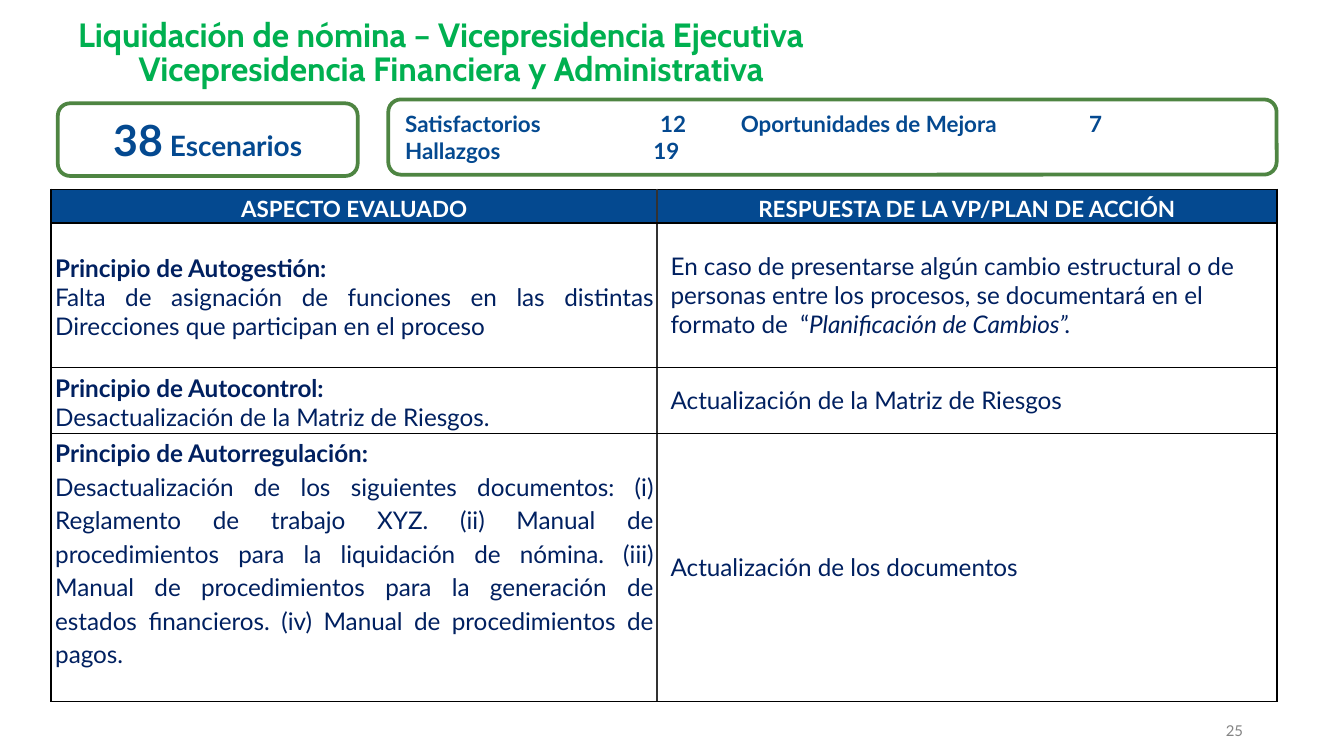
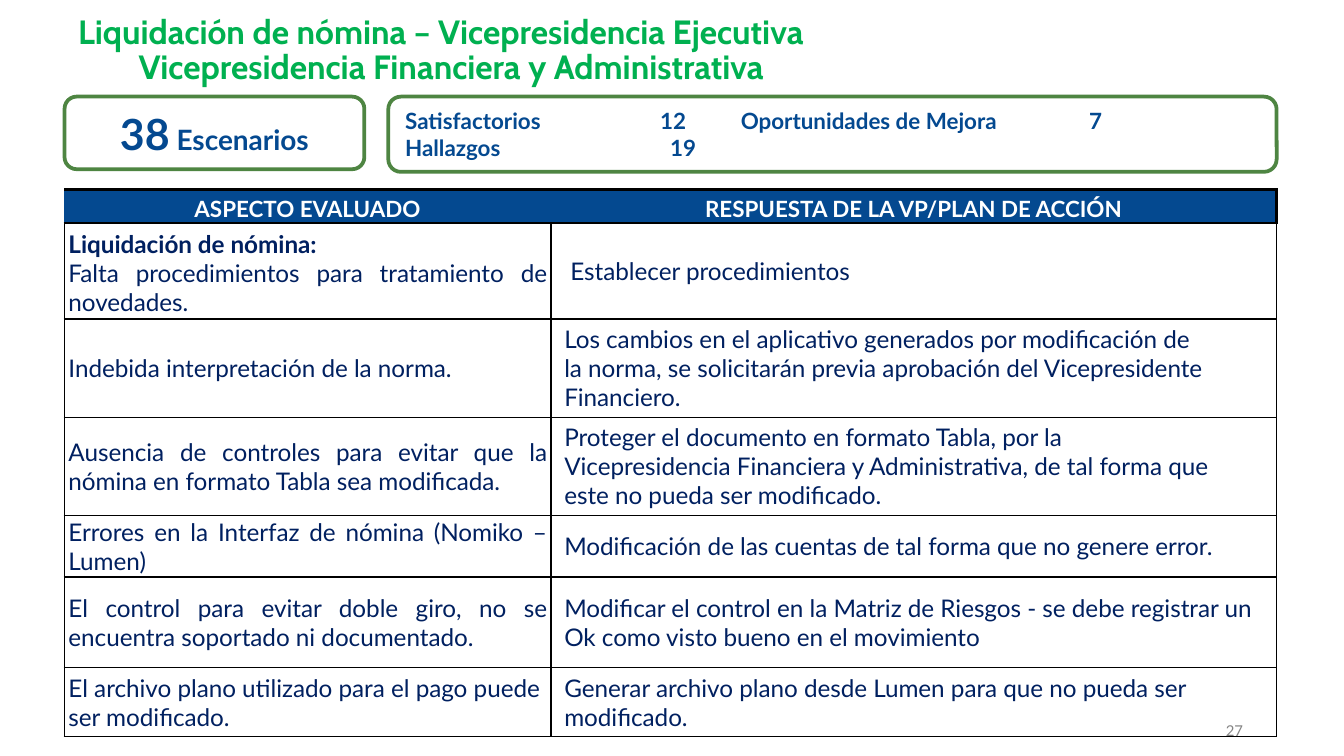
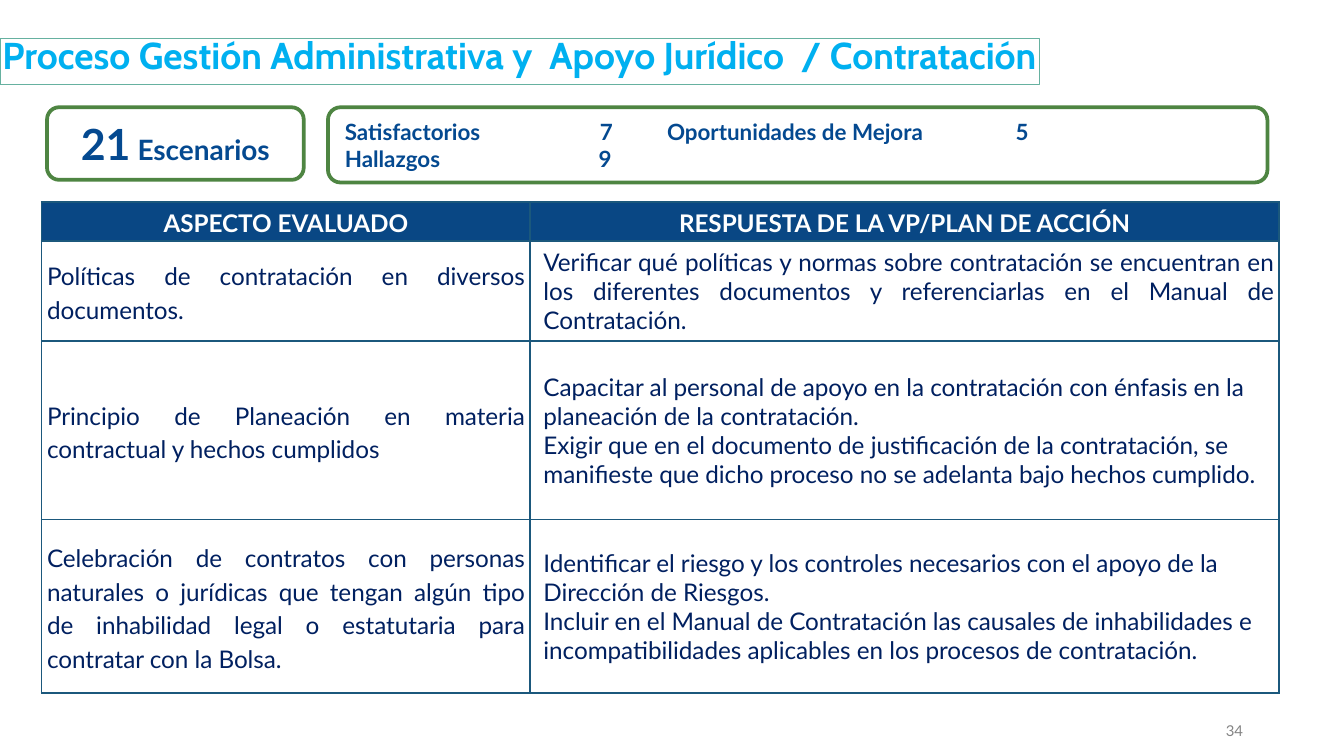
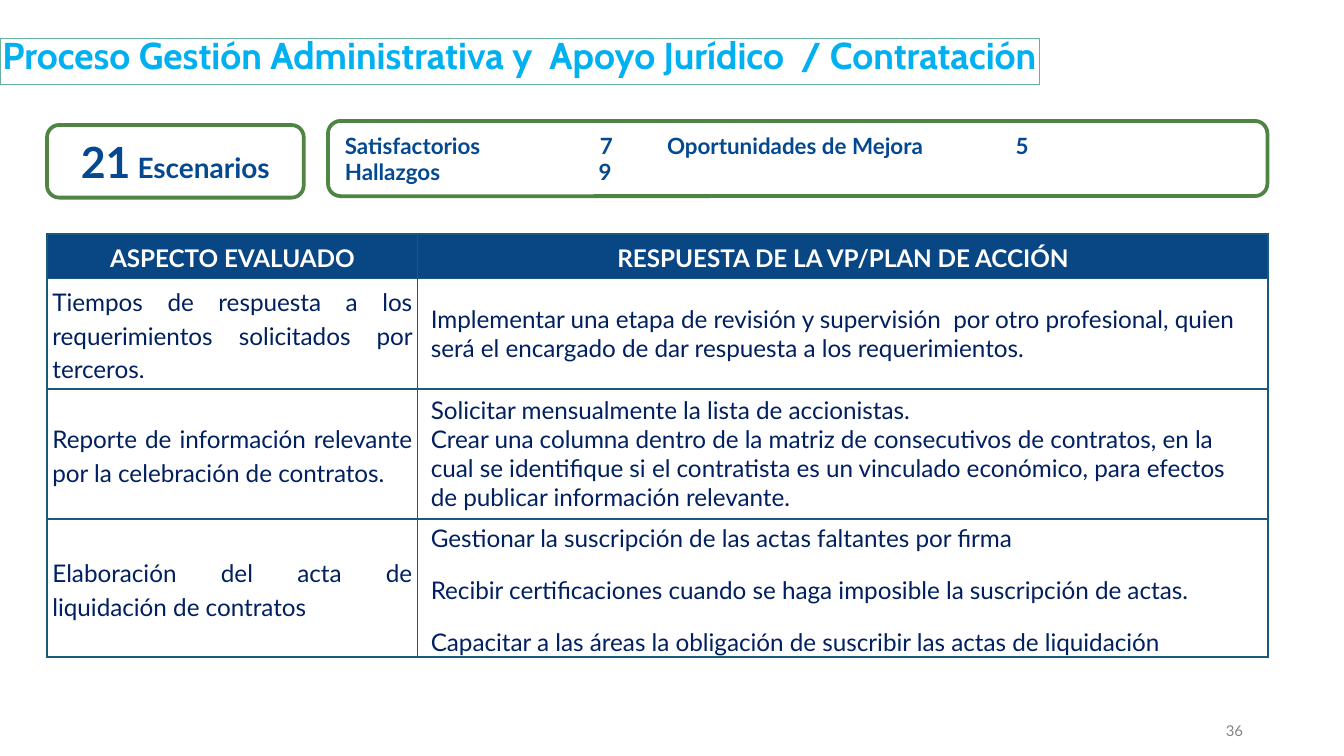
from dataclasses import dataclass

from lxml import etree
from pptx import Presentation
from pptx.dml.color import RGBColor
from pptx.enum.shapes import MSO_SHAPE
from pptx.enum.text import MSO_ANCHOR, PP_ALIGN
from pptx.oxml.ns import qn
from pptx.util import Pt

LEFT, CENTER, RIGHT, JUSTIFY = (
    PP_ALIGN.LEFT, PP_ALIGN.CENTER, PP_ALIGN.RIGHT, PP_ALIGN.JUSTIFY)
TOP, MIDDLE, BOTTOM = MSO_ANCHOR.TOP, MSO_ANCHOR.MIDDLE, MSO_ANCHOR.BOTTOM
RECTANGLE, ROUNDED = MSO_SHAPE.RECTANGLE, MSO_SHAPE.ROUNDED_RECTANGLE

BODY_FONT, TITLE_FONT = "Lato", "Cabin"
WHITE, BLACK, CHARCOAL = "FFFFFF", "000000", "323232"
BLUE, HEADER_BLUE, NAVY, GRID_BLUE = "044990", "094784", "002060", "1B587C"
GREEN, SKY, BOX_GREEN, TEAL, GREY = (
    "00B050", "00B0F0", "4E8542", "66B1A0", "848484")
HEADINGS = "ASPECTO EVALUADO", "RESPUESTA DE LA VP/PLAN DE ACCIÓN"
TIGHT, SNUG = (2.2, 0.7), (2.9, 1.4)


@dataclass
class CellText:
    """Paragraphs of a table cell; margins are left, top, right, bottom."""
    lines: tuple
    margins: tuple
    heading: str = ""
    align: PP_ALIGN = LEFT
    spacing: float = 1
    after: float = 0
    anchor: MSO_ANCHOR = MIDDLE


def finding(text, heading="", spacing=1, align=JUSTIFY, anchor=MIDDLE):
    return CellText((text,), TIGHT * 2, heading, align, spacing, anchor=anchor)


def topic(text):
    return CellText((text,), SNUG * 2, align=JUSTIFY, spacing=1.15)


def action(*lines, margins=(7.2, 2.9, 7.2, 2.9), **options):
    return CellText(lines, margins, **options)


def rgb(colour):
    return RGBColor.from_string(colour)


def style(paragraph, size, colour, font=BODY_FONT, bold=False, align=LEFT,
          spacing=1.0, after=0):
    paragraph.alignment = align
    paragraph.line_spacing = spacing
    paragraph.space_after = Pt(after)
    for run in paragraph.runs:
        run.font.size = Pt(size)
        run.font.name = font
        run.font.bold = bold
        run.font.color.rgb = rgb(colour)


def set_margins(holder, left, top, right, bottom):
    holder.margin_left, holder.margin_right = Pt(left), Pt(right)
    holder.margin_top, holder.margin_bottom = Pt(top), Pt(bottom)


def set_tabs(paragraph, stops):
    tabs = etree.SubElement(paragraph._p.get_or_add_pPr(), qn("a:tabLst"))
    for stop in stops:
        etree.SubElement(tabs, qn("a:tab"), pos=str(Pt(stop)), algn="l")


def add_text(slide, box, text, anchor=TOP):
    frame = slide.shapes.add_textbox(*map(Pt, box)).text_frame
    frame.word_wrap = True
    frame.vertical_anchor = anchor
    set_margins(frame, 0, 0, 0, 0)
    frame.text = text
    return frame


def add_page_number(slide, number):
    frame = add_text(slide, (643, 386.6, 23, 9.6), number, BOTTOM)
    style(frame.paragraphs[0], 8, GREY, align=RIGHT)


def add_payroll_title(slide, top):
    frame = add_text(slide, (41.8, top, 533.5, 34.6),
                     "Liquidación de nómina – Vicepresidencia Ejecutiva\n"
                     "Vicepresidencia Financiera y Administrativa")
    for paragraph in frame.paragraphs:
        style(paragraph, 18, GREEN, TITLE_FONT, True, spacing=0.85)
    frame.paragraphs[1]._p.get_or_add_pPr().set("marL", str(Pt(32.4)))


def add_outlined(slide, kind, box, line, width):
    shape = slide.shapes.add_shape(kind, *map(Pt, box))
    shape.shadow.inherit = False
    shape.line.color.rgb = rgb(line)
    shape.line.width = Pt(width)
    shape.text_frame.word_wrap = True
    return shape


def add_contract_title(slide):
    title = add_outlined(slide, RECTANGLE, (0, 20.8, 556.8, 24.6), TEAL, 0.75)
    title.fill.background()
    frame = title.text_frame
    frame.vertical_anchor = TOP
    set_margins(frame, 0, 0, 0, 0)
    frame.text = ("Proceso Gestión Administrativa y  Apoyo Jurídico"
                  "  / Contratación")
    style(frame.paragraphs[0], 20, SKY, TITLE_FONT, True, CENTER, 0.85)


def add_result_box(slide, box):
    shape = add_outlined(slide, ROUNDED, box, BOX_GREEN, 2)
    shape.fill.solid()
    shape.fill.fore_color.rgb = rgb(WHITE)
    shape.text_frame.vertical_anchor = MIDDLE
    return shape.text_frame


def add_scenarios(slide, box, total):
    paragraph = add_result_box(slide, box).paragraphs[0]
    paragraph.add_run().text = total
    paragraph.add_run().text = " Escenarios"
    style(paragraph, 15, BLUE, bold=True, align=CENTER)
    paragraph.runs[0].font.size = Pt(23)


def add_results(slide, box, counts, first_stops, second_stop):
    """Show satisfactory, improvement and finding counts on tab stops."""
    satisfactory, improvements, findings = counts
    frame = add_result_box(slide, box)
    frame.text = (f"Satisfactorios\t{satisfactory}\tOportunidades de Mejora"
                  f"\t{improvements}\nHallazgos\t{findings}")
    for paragraph, stops in zip(frame.paragraphs, (first_stops, [second_stop])):
        style(paragraph, 12, BLUE, bold=True)
        set_tabs(paragraph, stops)


def set_borders(cell, borders):
    """Draw (colour, width) for left, right, top, bottom; None hides a side."""
    properties = cell._tc.get_or_add_tcPr()
    for side, border in zip("LRTB", borders):
        colour, width = border or (None, 0)
        line = etree.SubElement(properties, qn(f"a:ln{side}"),
                                w=str(Pt(width)))
        if border:
            fill = etree.SubElement(line, qn("a:solidFill"))
            etree.SubElement(fill, qn("a:srgbClr"), val=colour)
        else:
            etree.SubElement(line, qn("a:noFill"))


def fill_header(cell, heading, size, colour, margins):
    cell.fill.solid()
    cell.fill.fore_color.rgb = rgb(colour)
    cell.vertical_anchor = MIDDLE
    set_margins(cell, *margins)
    cell.text = heading
    style(cell.text_frame.paragraphs[0], size, WHITE, bold=True, align=CENTER,
          spacing=1.15)


def fill_body(cell, content):
    """Write a body cell; an asterisk in a line starts its italic part."""
    cell.fill.background()
    cell.vertical_anchor = content.anchor
    set_margins(cell, *content.margins)
    frame = cell.text_frame
    paragraph = frame.paragraphs[0]
    if content.heading:
        paragraph.text = content.heading
        style(paragraph, 13, NAVY, bold=True, spacing=1.15)
        paragraph = frame.add_paragraph()
    for index, line in enumerate(content.lines):
        if index:
            paragraph = frame.add_paragraph()
        for part, text in enumerate(line.split("*")):
            run = paragraph.add_run()
            run.text = text
            run.font.italic = part > 0
        style(paragraph, 13, NAVY, align=content.align,
              spacing=content.spacing, after=content.after)


def add_findings_table(slide, origin, widths, heights, rows, header,
                       grid, middle=None, header_borders=None):
    """header is size, colour and margins; header_borders holds one per cell."""
    left, top = map(Pt, origin)
    table = slide.shapes.add_table(
        len(heights), len(widths), left, top,
        Pt(sum(widths)), Pt(sum(heights))).table
    table.first_row = table.horz_banding = False
    for column, width in zip(table.columns, widths):
        column.width = Pt(width)
    for row, height in zip(table.rows, heights):
        row.height = Pt(height)
    edge, inner = (grid, 1), (middle or grid, 1)
    usual = (edge, inner, edge, edge), (inner, edge, edge, edge)
    for column, heading in enumerate(HEADINGS):
        cell = table.cell(0, column)
        set_borders(cell, (header_borders or usual)[column])
        fill_header(cell, heading, *header)
    for number, contents in enumerate(rows, 1):
        for column, content in enumerate(contents):
            cell = table.cell(number, column)
            set_borders(cell, usual[column])
            fill_body(cell, content)


def payroll_slide(slide, page, title_top, scenarios_at, results_top,
                  findings_stop):
    add_page_number(slide, page)
    add_payroll_title(slide, title_top)
    add_scenarios(slide, (*scenarios_at, 160.6, 38.9), "38")
    add_results(slide, (208, results_top, 475.9, 40.3), (12, 7, 19),
                (136.6, 179.8, 366.4), findings_stop)


def contract_slide(slide, page, scenarios_top, results_top):
    add_page_number(slide, page)
    add_scenarios(slide, (25.2, scenarios_top, 137.5, 38.9), "21")
    add_results(slide, (175.7, results_top, 503.3, 40.3), (7, 5, 9),
                (136.6, 172.6, 359.4), 136)
    add_contract_title(slide)


def add_principles(slide):
    payroll_slide(slide, "25", 10.8, (31, 55.4), 53.3, 133)
    rows = [
        (finding("Falta de asignación de funciones en las distintas "
                 "Direcciones que participan en el proceso",
                 "Principio de Autogestión:"),
         action("En caso de presentarse algún cambio estructural o de",
                "personas entre los procesos, se documentará en el",
                "formato de  “*Planificación de Cambios”.")),
        (finding("Desactualización de la Matriz de Riesgos.",
                 "Principio de Autocontrol:"),
         action("Actualización de la Matriz de Riesgos")),
        (finding("Desactualización de los siguientes documentos: (i) "
                 "Reglamento de trabajo XYZ. (ii) Manual de procedimientos "
                 "para la liquidación de nómina. (iii) Manual de "
                 "procedimientos para la generación de estados financieros. "
                 "(iv) Manual de procedimientos de pagos.",
                 "Principio de Autorregulación:", 1.15, anchor=TOP),
         action("Actualización de los documentos")),
    ]
    add_findings_table(slide, (27.4, 101.5), (324.7, 331.9),
                       (18, 77.4, 35.3, 143.6), rows,
                       (12, BLUE, TIGHT * 2), BLACK, CHARCOAL)


def add_payroll_controls(slide):
    payroll_slide(slide, "27", 9.4, (34.6, 51.8), 51.8, 142)
    rows = [
        (finding("Falta procedimientos para tratamiento de novedades.",
                 "Liquidación de nómina:"),
         action(" Establecer procedimientos")),
        (finding("Indebida interpretación de la norma."),
         action("Los cambios en el aplicativo generados por modificación de",
                "la norma, se solicitarán previa aprobación del "
                "Vicepresidente",
                "Financiero.")),
        (finding("Ausencia de controles para evitar que la nómina en formato "
                 "Tabla sea modificada."),
         action("Proteger el documento en formato Tabla, por la",
                "Vicepresidencia Financiera y Administrativa, de tal forma "
                "que",
                "este no pueda ser modificado.")),
        (finding("Errores en la Interfaz de nómina (Nomiko – Lumen)"),
         action("Modificación de las cuentas de tal forma que no genere "
                "error.")),
        (finding("El control para evitar doble giro, no se encuentra "
                 "soportado ni documentado."),
         action("Modificar el control en la Matriz de Riesgos - se debe "
                "registrar un Ok como visto bueno en el movimiento")),
        (finding("El archivo plano utilizado para el pago puede ser "
                 "modificado.", align=LEFT),
         action("Generar archivo plano desde Lumen para que no pueda ser "
                "modificado.")),
    ]
    thin, thick = (BLACK, 1), (BLACK, 1.5)
    add_findings_table(slide, (34.5, 101.5), (260.6, 388.8),
                       (18, 51.4, 52.4, 52.4, 32.8, 48.6, 36.6), rows,
                       (12, BLUE, TIGHT * 2), BLACK,
                       header_borders=((None, None, thick, thin),
                                       (None, thick, thick, thin)))


def add_contract_planning(slide):
    contract_slide(slide, "34", 57.5, 57.5)
    rows = [
        (topic("Políticas de contratación en diversos documentos."),
         action("Verificar qué políticas y normas sobre contratación se "
                "encuentran en los diferentes documentos y referenciarlas en "
                "el Manual de Contratación.",
                margins=(7.2, 1.4, 2.9, 1.4), align=JUSTIFY)),
        (topic("Principio de Planeación en materia contractual y hechos "
               "cumplidos"),
         action("Capacitar al personal de apoyo en la contratación con "
                "énfasis en la planeación de la contratación.",
                "Exigir que en el documento de justificación de la "
                "contratación, se manifieste que dicho proceso no se adelanta "
                "bajo hechos cumplido.")),
        (topic("Celebración de contratos con personas naturales o jurídicas "
               "que tengan algún tipo de inhabilidad legal o estatutaria para "
               "contratar con la Bolsa."),
         action("Identificar el riesgo y los controles necesarios con el "
                "apoyo de la Dirección de Riesgos.",
                "Incluir en el Manual de Contratación las causales de "
                "inhabilidades e incompatibilidades aplicables en los "
                "procesos de contratación.")),
    ]
    add_findings_table(slide, (22.3, 108.2), (261.6, 401.2),
                       (20.8, 53.8, 95.6, 93), rows,
                       (13, HEADER_BLUE, SNUG * 2), GRID_BLUE)


def add_contract_follow_up(slide):
    contract_slide(slide, "36", 67, 64.8)
    rows = [
        (topic("Tiempos de respuesta a los requerimientos solicitados por "
               "terceros."),
         action("Implementar una etapa de revisión y supervisión  por otro "
                "profesional, quien será el encargado de dar respuesta a los "
                "requerimientos.")),
        (topic("Reporte de información relevante por la celebración de "
               "contratos."),
         action("Solicitar mensualmente la lista de accionistas.",
                "Crear una columna dentro de la matriz de consecutivos de "
                "contratos, en la cual se identifique si el contratista es un "
                "vinculado económico, para efectos de publicar información "
                "relevante.")),
        (topic("Elaboración del acta de liquidación de contratos"),
         action("Gestionar la suscripción de las actas faltantes por firma",
                "Recibir certificaciones cuando se haga imposible la "
                "suscripción de actas.",
                "Capacitar a las áreas la obligación de suscribir las actas "
                "de liquidación",
                margins=(7.2, 0, 7.2, 0), spacing=1.15, after=10)),
    ]
    add_findings_table(slide, (25.2, 125.3), (198.4, 455.8),
                       (24, 59, 69.8, 73.8), rows,
                       (13, HEADER_BLUE, SNUG * 2), GRID_BLUE)


def main():
    deck = Presentation()
    deck.slide_width, deck.slide_height = Pt(720), Pt(405)
    blank = deck.slide_layouts[6]
    for build in (add_principles, add_payroll_controls,
                  add_contract_planning, add_contract_follow_up):
        build(deck.slides.add_slide(blank))
    deck.save("out.pptx")


if __name__ == "__main__":
    main()
